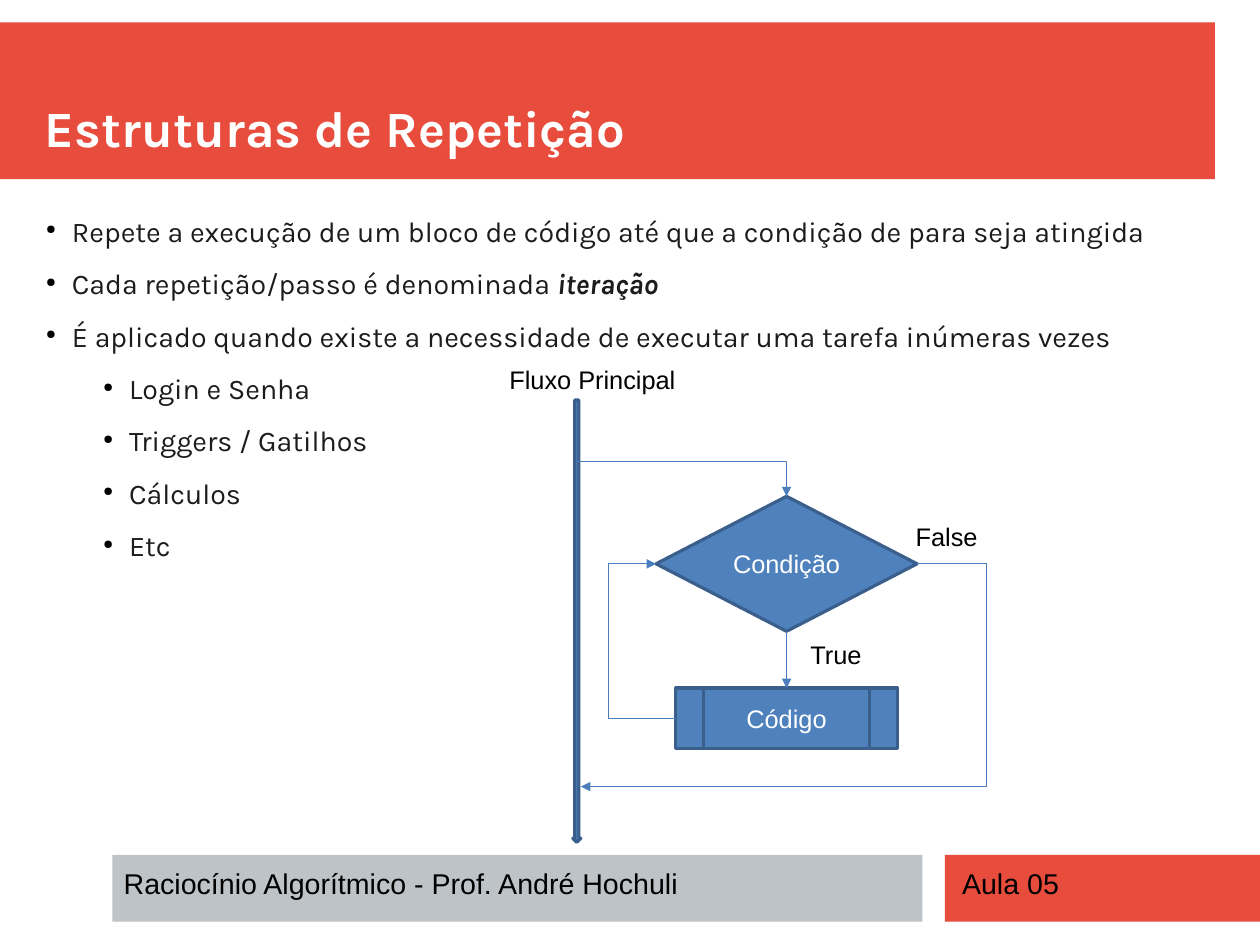
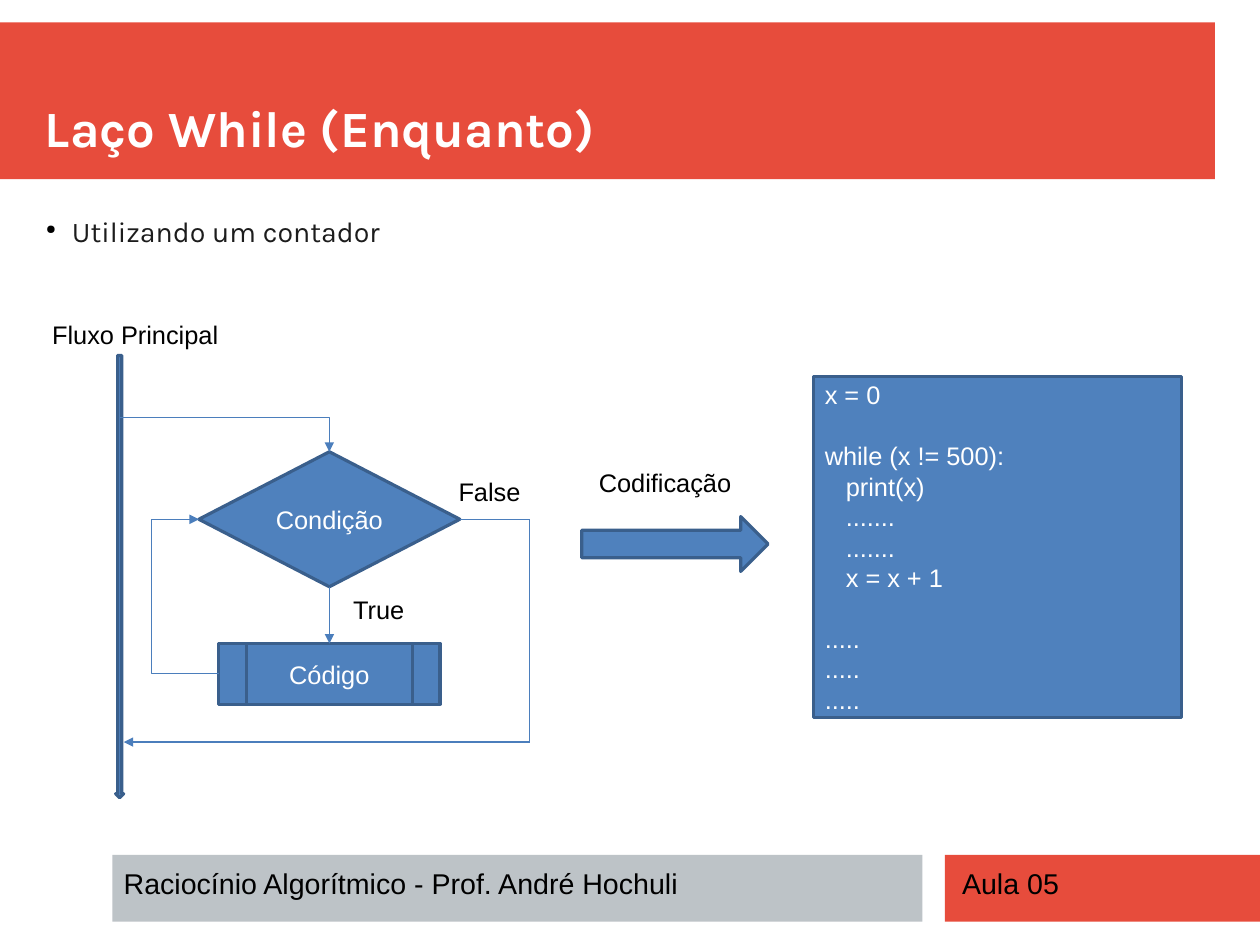
from dataclasses import dataclass

import pptx
import pptx.dml.color
import pptx.enum.shapes
import pptx.enum.text
import pptx.oxml
import pptx.oxml.ns
import pptx.util

Shape = pptx.enum.shapes.MSO_SHAPE
Connector = pptx.enum.shapes.MSO_CONNECTOR
Anchor = pptx.enum.text.MSO_ANCHOR
Align = pptx.enum.text.PP_ALIGN
Pt = pptx.util.Pt
qn = pptx.oxml.ns.qn

COLS, ROWS = 28, 21
CELL = pptx.util.Cm(1)
INSETS = (0.25, 0.13)
TOP, LEFT, BOTTOM, RIGHT = range(4)


@dataclass(frozen=True)
class Theme:
    red: str = "E74C3C"
    gray: str = "BDC3C7"
    blue: str = "4F81BD"
    outline: str = "3A5F8C"
    wire: str = "4B7EBC"
    ink: str = "1C1C1C"
    black: str = "000000"
    white: str = "FFFFFF"
    heading_font: str = "Karla"
    label_font: str = "Arial"
    title_size: float = 32
    body_size: float = 18
    label_size: float = 16
    outline_width: float = 2
    wire_width: float = 0.75
    body_gap: float = 11.4


THEME = Theme()


def grid(*cells):
    """Turn columns and rows into slide lengths."""
    return [round(c * CELL) for c in cells]


def rgb(value):
    return pptx.dml.color.RGBColor.from_string(value)


def add_xml(parent, tag, **attrs):
    el = pptx.oxml.parse_xml(f"<a:{tag} {pptx.oxml.ns.nsdecls('a')}/>")
    for name, value in attrs.items():
        el.set(name, str(value))
    parent.append(el)
    return el


def write(p, text, size=THEME.label_size, font=THEME.label_font,
          color=THEME.black, bold=False, italic=False):
    r = p.add_run()
    r.text = text
    r.font.size, r.font.name = Pt(size), font
    r.font.bold, r.font.italic = bold, italic
    r.font.color.rgb = rgb(color)


def set_frame(tf, anchor=Anchor.TOP, insets=INSETS, wrap=True):
    tf.word_wrap, tf.vertical_anchor = wrap, anchor
    tf.margin_left = tf.margin_right = grid(insets[0])[0]
    tf.margin_top = tf.margin_bottom = grid(insets[1])[0]


def add_text(slide, box, text, anchor=Anchor.TOP, insets=INSETS, wrap=True, **fmt):
    tf = slide.shapes.add_textbox(*grid(*box)).text_frame
    set_frame(tf, anchor, insets, wrap)
    write(tf.paragraphs[0], text, **fmt)


def add_block(slide, kind, box, fill=THEME.blue, outline=THEME.outline,
              lines=(), align=Align.CENTER):
    sp = slide.shapes.add_shape(kind, *grid(*box))
    sp.shadow.inherit = False
    sp.fill.solid()
    sp.fill.fore_color.rgb = rgb(fill)
    if outline:
        sp.line.color.rgb = rgb(outline)
        sp.line.width = Pt(THEME.outline_width)
    else:
        sp.line.fill.background()
    tf = sp.text_frame
    set_frame(tf, Anchor.MIDDLE)
    for i, line in enumerate(lines):
        p = tf.add_paragraph() if i else tf.paragraphs[0]
        p.alignment = align
        write(p, line, color=THEME.white)
    return sp


def add_wire(slide, start, end, kind=Connector.STRAIGHT, arrow=True,
             begin_at=None, end_at=None):
    cn = slide.shapes.add_connector(kind, *grid(*start, *end))
    if begin_at:
        cn.begin_connect(*begin_at)
    if end_at:
        cn.end_connect(*end_at)
    cn.line.color.rgb = rgb(THEME.wire)
    cn.line.width = Pt(THEME.wire_width)
    sppr = cn._element.spPr
    if arrow:
        add_xml(sppr.find(qn("a:ln")), "tailEnd", type="triangle")
    add_xml(sppr, "effectLst")
    return sppr


def add_bullets(slide, items):
    """Each item is a level and its runs, as (text, emphasised) pairs."""
    tf = slide.shapes.add_textbox(*grid(1, 4.75, 25.5, 13)).text_frame
    set_frame(tf, insets=(0, 0))
    for i, (level, runs) in enumerate(items):
        p = tf.add_paragraph() if i else tf.paragraphs[0]
        p.level = level
        p.space_after = Pt(THEME.body_gap)
        ppr = p._p.get_or_add_pPr()
        left, hang = grid(0.6 + 1.27 * level, -0.58)
        ppr.set("marL", str(left))
        ppr.set("indent", str(hang))
        add_xml(add_xml(ppr, "buClr"), "srgbClr", val=THEME.black)
        add_xml(ppr, "buSzPct", val=45000)
        add_xml(ppr, "buChar", char="●")
        for text, strong in runs:
            write(p, text, size=THEME.body_size, font=THEME.heading_font,
                  color=THEME.ink, bold=strong, italic=strong)


def add_slide(prs, title):
    """Blank slide with the shared bands, title and footer."""
    slide = prs.slides.add_slide(prs.slide_layouts[6])
    for box, fill in (((0, 0.5, 27, 3.48), THEME.red),
                      ((21, 19, 7, 1.48), THEME.red),
                      ((2.5, 19, 18, 1.48), THEME.gray)):
        add_block(slide, Shape.RECTANGLE, box, fill, outline=None)
    add_text(slide, (1, 1, 26, 2.5), title, anchor=Anchor.BOTTOM, insets=(0, 0),
             size=THEME.title_size, font=THEME.heading_font,
             color=THEME.white, bold=True)
    for x, width, text in ((2.5, 17.9, "Raciocínio Algorítmico - Prof. André Hochuli"),
                           (21.13, 6.32, "Aula 05")):
        add_text(slide, (x, 19.12, width, 1), text, size=THEME.body_size)
    return slide


def add_loop_flow(slide, x, y):
    """Loop flowchart; x, y is the top left corner of its main arrow."""
    shaft_w, shaft_h = 0.18, 9.83
    test_w, test_h, code_w, code_h = 5.8, 3, 4.92, 1.35
    axis = x + 4.75
    test_x, test_y = axis - test_w / 2, y + 2.14
    code_x, code_y = axis - code_w / 2, y + 6.4
    test_mid, code_mid = test_y + test_h / 2, code_y + code_h / 2
    test_end = test_x + test_w
    back_x, exit_x, exit_y = x + 0.8, x + 9.2, y + 8.59

    test = add_block(slide, Shape.DIAMOND, (test_x, test_y, test_w, test_h),
                     lines=["Condição"])
    code = add_block(slide, Shape.FLOWCHART_PREDEFINED_PROCESS,
                     (code_x, code_y, code_w, code_h), lines=["Código"])
    add_wire(slide, (axis, test_y + test_h), (axis, code_y),
             begin_at=(test, BOTTOM), end_at=(code, TOP))

    back = add_wire(slide, (code_x, code_mid), (test_x, test_mid), Connector.ELBOW,
                    begin_at=(code, LEFT), end_at=(test, LEFT))
    xfrm = back.find(qn("a:xfrm"))
    for flip in ("flipH", "flipV"):
        xfrm.attrib.pop(flip, None)
    xfrm.set("rot", str(180 * 60000))
    bend = round((code_x - back_x) / (code_x - test_x) * 100000)
    add_xml(back.find(qn("a:prstGeom")).find(qn("a:avLst")), "gd",
            name="adj1", fmla=f"val {bend}")

    add_wire(slide, (test_end, test_mid), (exit_x, test_mid), arrow=False,
             begin_at=(test, RIGHT))
    add_wire(slide, (exit_x, test_mid), (exit_x, exit_y), arrow=False)
    add_wire(slide, (exit_x, exit_y), (x + shaft_w, exit_y))
    add_block(slide, Shape.DOWN_ARROW, (x, y, shaft_w, shaft_h))
    for dx, dy, width, text in ((5.03, 5.18, 1.8, "True"),
                                (7.37, 2.56, 2.08, "False"),
                                (-1.66, -0.93, 5, "Fluxo Principal")):
        add_text(slide, (x + dx, y + dy, width, 0.94), text)
    entry = add_wire(slide, (x + shaft_w / 2, y + 1.37), (axis, test_y),
                     Connector.ELBOW, end_at=(test, TOP))
    entry.find(qn("a:prstGeom")).set("prst", "bentConnector2")


def main():
    prs = pptx.Presentation()
    prs.slide_width, prs.slide_height = grid(COLS, ROWS)

    slide = add_slide(prs, "Estruturas de Repetição")
    add_bullets(slide, [
        (0, [("Repete a execução de um bloco de código até que a condição "
              "de para seja atingida", False)]),
        (0, [("Cada repetição/passo é denominada ", False), ("iteração", True)]),
        (0, [("É aplicado quando existe a necessidade de executar uma tarefa "
              "inúmeras vezes", False)]),
        *((1, [(text, False)])
          for text in ("Login e Senha", "Triggers / Gatilhos", "Cálculos", "Etc")),
    ])
    add_loop_flow(slide, 12.73, 8.89)

    slide = add_slide(prs, "Laço While (Enquanto)")
    add_bullets(slide, [(0, [("Utilizando um contador", False)])])
    add_block(slide, Shape.RIGHT_ARROW, (12.93, 11.48, 4.14, 1.22))
    add_text(slide, (13.06, 10.26, 3.48, 0.94), "Codificação", wrap=False)
    add_block(slide, Shape.RECTANGLE, (18.08, 8.36, 8.18, 7.59), align=Align.LEFT,
              lines=["x = 0", "", "while (x != 500):", "   print(x)", "   .......",
                     "   .......", "   x = x + 1", "", ".....", ".....", "....."])
    add_loop_flow(slide, 2.57, 7.9)

    prs.save("out.pptx")


if __name__ == "__main__":
    main()
